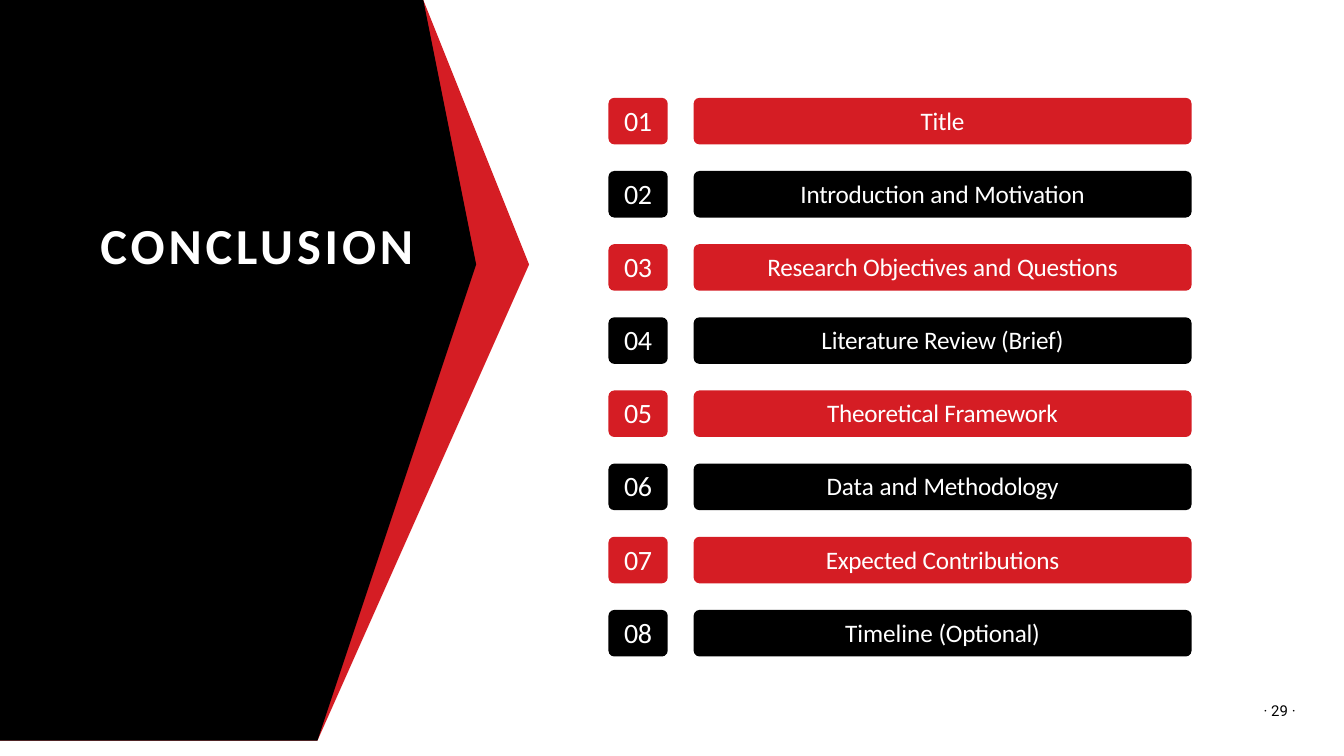
import pptx
import pptx.dml.color
import pptx.enum.shapes
import pptx.enum.text
import pptx.util

Cm = pptx.util.Cm
Pt = pptx.util.Pt
COLORS = {"red": "D51D24", "black": "000000", "white": "FFFFFF"}


def paint(shape, color):
    """Give a shape a solid fill without outline or shadow."""
    shape.shadow.inherit = False
    shape.fill.solid()
    shape.fill.fore_color.rgb = pptx.dml.color.RGBColor.from_string(COLORS[color])
    shape.line.fill.background()


def write(shape, runs, font, size, color, top=0, bottom=0, bold=False, centered=False):
    """Fill a shape with one paragraph of (text, letter spacing in points) runs."""
    frame = shape.text_frame
    frame.word_wrap = True
    frame.margin_left = frame.margin_right = 0
    frame.margin_top, frame.margin_bottom = Cm(top), Cm(bottom)
    paragraph = frame.paragraphs[0]
    if centered:
        frame.vertical_anchor = pptx.enum.text.MSO_ANCHOR.MIDDLE
        paragraph.alignment = pptx.enum.text.PP_ALIGN.CENTER
    else:
        frame.vertical_anchor = pptx.enum.text.MSO_ANCHOR.TOP
        paragraph.alignment = pptx.enum.text.PP_ALIGN.LEFT
    for text, spacing in runs:
        run = paragraph.add_run()
        run.text = text
        run.font.name = font
        run.font.size = Pt(size)
        run.font.bold = bold
        run.font.color.rgb = pptx.dml.color.RGBColor.from_string(COLORS[color])
        run.font._element.set("spc", str(round(spacing * 100)))


deck = pptx.Presentation()
deck.slide_width, deck.slide_height = Cm(25.4), Cm(14.29)
slide = deck.slides.add_slide(deck.slide_layouts[6])

# Arrow-shaped panel: red edge behind a black face
panel = slide.shapes.add_group_shape()
for color, corners in [
    ("red", [(6.32, 14.27), (0.02, 14.27), (0.02, 0.02), (7.87, 0.02), (9.5, 4.9)]),
    ("black", [(5.79, 14.27), (0.05, 14.27), (0.05, 0.02), (7.57, 0.02), (9.42, 4.93)]),
]:
    outline = panel.shapes.build_freeform(*corners[0], scale=Cm(1))
    outline.add_line_segments(corners[1:], close=True)
    paint(outline.convert_to_shape(), color)

heading = slide.shapes.add_textbox(Cm(1.9), Cm(3.99), Cm(6.27), Cm(1.22))
write(heading, [("CONCLUSION", 2.1)], "Calibri", 27, "white", top=0.06, bold=True)

page_number = slide.shapes.add_textbox(Cm(23.88), Cm(13.23), Cm(0.74), Cm(0.41))
write(page_number, [("· 29 ", 0), ("·", -0.5)], "Roboto", 8, "black", top=0.04)

# Agenda: a number tile and a label bar in each row
agenda = [
    [("Title", -0.1)],
    [("Introduction ", -0.1), ("and ", 0), ("Motivation", -0.1)],
    [("Research Objectives ", -0.1), ("and", 0), (" Questions", -0.1)],
    [("Literature Review (Brief)", -0.1)],
    [("Theoretical Framework", -0.1)],
    [("Data and ", 0), ("Methodology", -0.1)],
    [("Expected Contributions", -0.1)],
    [("Timeline ", 0), ("(Optional)", -0.1)],
]
first_top, last_top, row_height = 1.85, 11.53, 0.88
corner_radius = 0.11
pitch = (last_top - first_top) / (len(agenda) - 1)

for index, label in enumerate(agenda):
    color = "black" if index % 2 else "red"
    number = [(f"{index + 1:02d}", -0.2)]
    for left, width, runs, size in [(11.5, 1.12, number, 15), (13.11, 9.41, label, 13.5)]:
        tile = slide.shapes.add_shape(
            pptx.enum.shapes.MSO_SHAPE.ROUNDED_RECTANGLE,
            Cm(left), Cm(first_top + index * pitch), Cm(width), Cm(row_height),
        )
        tile.adjustments[0] = corner_radius / row_height
        paint(tile, color)
        write(tile, runs, "Calibri", size, "white", bottom=0.04, centered=True)

deck.save("out.pptx")
